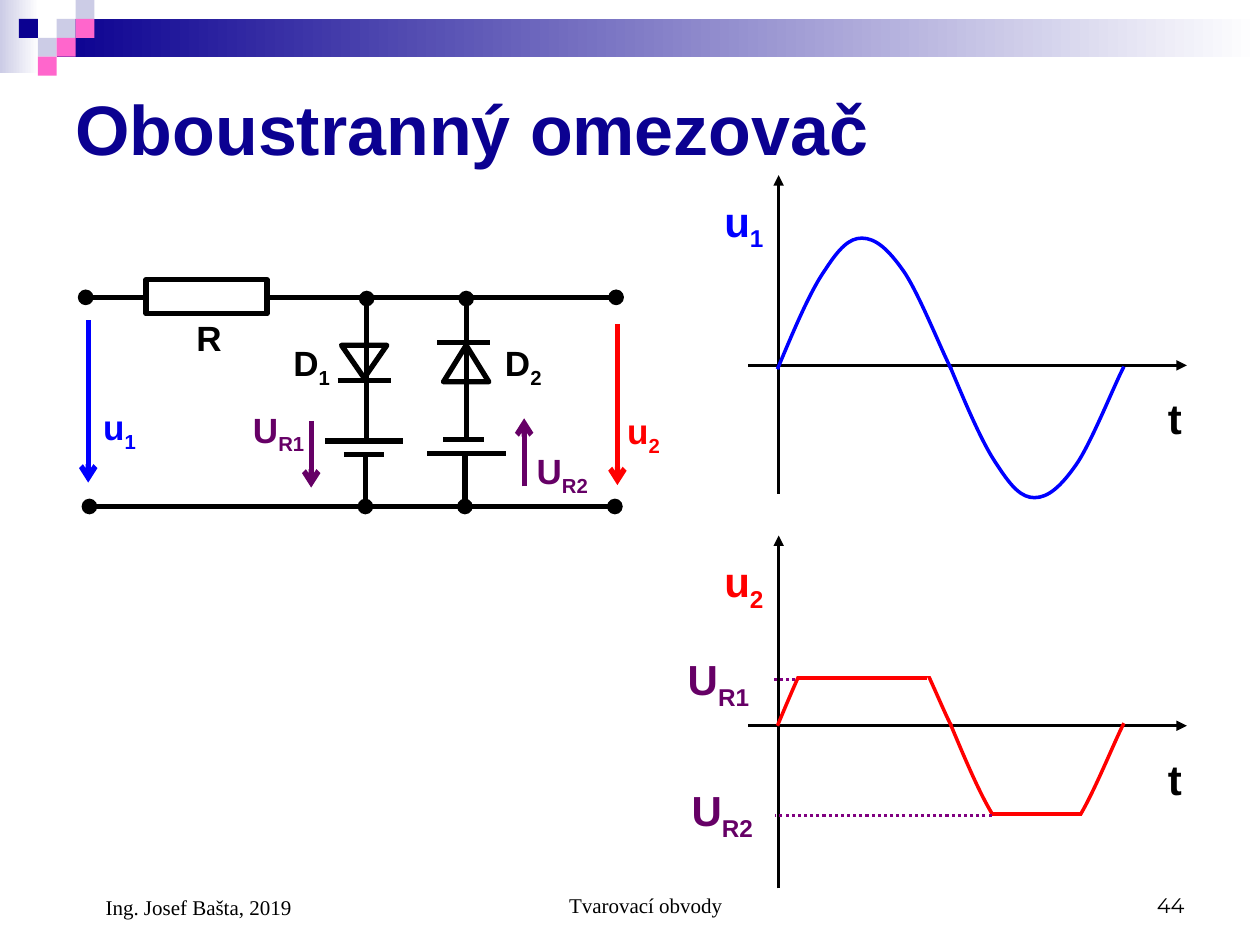
"""Build the slide on the two-sided limiter: circuit, input wave and clipped output."""
from dataclasses import dataclass

from lxml.etree import SubElement
from pptx import Presentation
from pptx.dml.color import RGBColor
from pptx.enum.dml import MSO_LINE
from pptx.enum.shapes import MSO_CONNECTOR, MSO_SHAPE
from pptx.enum.text import MSO_ANCHOR, MSO_AUTO_SIZE, PP_ALIGN
from pptx.oxml.ns import qn
from pptx.util import Inches, Pt


@dataclass(frozen=True)
class Theme:
    navy: str = "0B0191"
    lavender: str = "CCCCE6"
    pink: str = "FF66CC"
    white: str = "FFFFFF"
    black: str = "000000"
    blue: str = "0000FF"
    red: str = "FF0000"
    plum: str = "660066"
    purple: str = "800080"
    heading: str = "Arial"
    serif: str = "Times New Roman"
    number: str = "Montserrat"
    title_size: float = 40
    plot_size: float = 24
    circuit_size: float = 20
    footer_size: float = 12
    wire: float = 3
    curve: float = 2
    axis: float = 1.5
    level: float = 1.75


THEME = Theme()
TITLE = "Oboustranný omezovač"

BANDS = [((0, 0, 0.31, 0.58), THEME.lavender), ((0.45, 0.15, 9.55, 0.3), THEME.navy)]
TILE = 0.15
TILES = [
    (3, 1, THEME.lavender), (4, 0, THEME.lavender), (4, 1, THEME.pink),
    (2, 2, THEME.lavender), (1, 1, THEME.navy), (3, 2, THEME.pink), (2, 3, THEME.pink),
]

WIRES = [
    ((4.88, 4.02), (0.71, 4.02), "oval", "oval"),
    ((1.14, 2.36), (0.68, 2.36), None, "oval"),
    ((4.89, 2.36), (2.12, 2.36), "oval", None),
    ((2.91, 3.49), (2.91, 2.37), None, "oval"),
    ((2.9, 4.02), (2.9, 3.61), "oval", None),
    ((3.7, 3.49), (3.7, 2.37), None, "oval"),
    ((3.69, 4.02), (3.69, 3.61), "oval", None),
]
PLATES = [
    (2.68, 3.1, 3.02), (2.58, 3.2, 3.5), (2.73, 3.05, 3.61),
    (3.47, 3.89, 2.72), (3.39, 4.02, 3.6), (3.52, 3.84, 3.49),
]
VOLTAGE_ARROWS = [
    ((0.7, 2.54), (0.7, 3.83), THEME.blue),
    ((4.9, 2.57), (4.9, 3.85), THEME.red),
    ((2.47, 3.34), (2.47, 3.87), THEME.plum),
    ((4.16, 3.86), (4.16, 3.32), THEME.plum),
]
PARTS = [
    (MSO_SHAPE.RECTANGLE, (1.16, 2.22, 0.96, 0.27), 0),
    (MSO_SHAPE.ISOSCELES_TRIANGLE, (2.71, 2.74, 0.36, 0.26), 180),
    (MSO_SHAPE.ISOSCELES_TRIANGLE, (3.52, 2.74, 0.36, 0.29), 0),
]
CIRCUIT_LABELS = [
    ("u_1", (0.72, 3.17, 0.54, 0.48), THEME.blue),
    ("R", (1.46, 2.46, 0.46, 0.44), THEME.black),
    ("u_2", (4.88, 3.2, 0.56, 0.48), THEME.red),
    ("D_1", (2.23, 2.66, 0.53, 0.48), THEME.black),
    ("D_2", (3.91, 2.66, 0.56, 0.48), THEME.black),
    ("U_R1", (1.91, 3.19, 0.64, 0.48), THEME.plum),
    ("U_R2", (4.16, 3.52, 0.65, 0.48), THEME.plum),
]

HALF_WAVE = [
    (0, -0.01), (0.13, 0.3), (0.26, 0.61), (0.38, 0.78), (0.49, 0.95), (0.57, 1.03),
    (0.67, 1.03), (0.78, 1.03), (0.88, 0.94), (1, 0.77), (1.12, 0.6), (1.31, 0.12), (1.38, -0.01),
]
HALF_STARTS = [(6.17, 1), (7.54, -1)]
PLOTS = [
    dict(label="u_1", colour=THEME.blue, axis=2.9, bottom=3.92, middle=2.92),
    dict(label="u_2", colour=THEME.red, axis=5.76, bottom=7.05, middle=5.75),
]
CLIPPED_TOPS = [((7.88, 6.46), (8.57, 6.46)), ((6.34, 5.38), (7.36, 5.38))]
MASKS = [(6.26, 4.53, 1.26, 0.83), (7.58, 6.48, 1.26, 0.42)]
LEVELS = [((6.31, 5.39), (6.12, 5.39)), ((7.87, 6.47), (6.15, 6.47))]
LEVEL_LABELS = [("U_R1", (5.36, 5.14, 0.76, 0.56)), ("U_R2", (5.39, 6.18, 0.76, 0.56))]

FOOTERS = [
    ("Tvarovací obvody", (3.42, 6.83, 3.17, 0.5), PP_ALIGN.CENTER, 0.24, THEME.serif),
    ("44", (7.17, 6.83, 2.33, 0.5), PP_ALIGN.RIGHT, 0, THEME.number),
    ("Ing. Josef Bašta, 2019", (0.5, 6.83, 2.33, 0.52), PP_ALIGN.LEFT, 0.24, THEME.serif),
]


def inches(values):
    return [Inches(value) for value in values]


def rgb(colour):
    return RGBColor.from_string(colour)


def write_text(shape, text, *, size, colour=THEME.black, font=THEME.heading, bold=True,
               align=PP_ALIGN.LEFT, anchor=MSO_ANCHOR.TOP, indent=0):
    """Write text into a shape; an underscore starts the subscript."""
    frame = shape.text_frame
    frame.word_wrap = True
    frame.auto_size = MSO_AUTO_SIZE.NONE
    frame.vertical_anchor = anchor
    paragraph = frame.paragraphs[0]
    paragraph.alignment = align
    if indent:
        properties = paragraph._p.get_or_add_pPr()
        properties.set("marL", str(Inches(indent)))
        properties.set("indent", "0")
    for index, part in enumerate(text.split("_")):
        run = paragraph.add_run()
        run.text = part
        run.font.size, run.font.name, run.font.bold = Pt(size), font, bold
        run.font.color.rgb = rgb(colour)
        if index:
            run._r.get_or_add_rPr().set("baseline", "-25000")


def add_label(slide, text, box, **style):
    write_text(slide.shapes.add_textbox(*inches(box)), text, **style)


def add_block(slide, box, *, kind=MSO_SHAPE.RECTANGLE, fill=None, fade=False, line=None, width=0.75):
    shape = slide.shapes.add_shape(kind, *inches(box))
    shape.shadow.inherit = False
    if fade:
        shape.fill.gradient()
        shape.fill.gradient_angle = 0
        for stop, colour, position in zip(shape.fill.gradient_stops, (fill, THEME.white), (0, 1)):
            stop.color.rgb, stop.position = rgb(colour), position
    elif fill:
        shape.fill.solid()
        shape.fill.fore_color.rgb = rgb(fill)
    else:
        shape.fill.background()
    if line:
        shape.line.color.rgb, shape.line.width = rgb(line), Pt(width)
    else:
        shape.line.fill.background()
    return shape


def add_line(slide, start, end, *, colour=THEME.black, width=THEME.wire, head=None, tail=None, dash=None):
    line = slide.shapes.add_connector(MSO_CONNECTOR.STRAIGHT, *inches(start + end))
    line.line.color.rgb, line.line.width = rgb(colour), Pt(width)
    if dash:
        line.line.dash_style = dash
    for tag, kind in (("a:headEnd", head), ("a:tailEnd", tail)):
        if kind:
            SubElement(line.line._get_or_add_ln(), qn(tag), type=kind)
    SubElement(line._element.spPr, qn("a:effectLst"))


def add_curve(slide, points, colour):
    """Draw a Bézier curve: a start, then two controls and an end per segment."""
    start, *rest = [inches(point) for point in points]
    builder = slide.shapes.build_freeform(*start)
    builder.add_line_segments(rest, close=False)
    shape = builder.convert_to_shape()
    shape.shadow.inherit = False
    shape.fill.background()
    shape.line.color.rgb, shape.line.width = rgb(colour), Pt(THEME.curve)
    outline = next(shape._element.iter(qn("a:path")))
    segments = outline.findall(qn("a:lnTo"))
    for index in range(0, len(segments), 3):
        bezier = SubElement(outline, qn("a:cubicBezTo"))
        for segment in segments[index:index + 3]:
            bezier.append(segment[0])
            outline.remove(segment)


def add_plot(slide, *, label, colour, axis, bottom, middle):
    style = dict(width=THEME.axis, tail="triangle")
    add_line(slide, (5.94, axis), (9.42, axis), **style)
    add_line(slide, (6.18, bottom), (6.18, axis - 1.51), **style)
    add_label(slide, label, (5.65, axis - 1.4, 0.56, 0.56), size=THEME.plot_size, colour=colour)
    add_label(slide, "t", (9.17, axis + 0.17, 0.56, 0.5), size=THEME.plot_size)
    for left, sign in HALF_STARTS:
        add_curve(slide, [(left + x, middle - sign * y) for x, y in HALF_WAVE], colour)


def add_circuit(slide):
    for kind, box, rotation in PARTS:
        add_block(slide, box, kind=kind, line=THEME.black, width=THEME.wire).rotation = rotation
    for start, end, head, tail in WIRES:
        add_line(slide, start, end, head=head, tail=tail)
    for left, right, y in PLATES:
        add_line(slide, (left, y), (right, y))
    for start, end, colour in VOLTAGE_ARROWS:
        add_line(slide, start, end, colour=colour, tail="arrow")
    for text, box, colour in CIRCUIT_LABELS:
        add_label(slide, text, box, size=THEME.circuit_size, colour=colour)


def add_clipping(slide):
    for box in MASKS:
        add_block(slide, box, fill=THEME.white, line=THEME.white)
    for start, end in CLIPPED_TOPS:
        add_line(slide, start, end, colour=THEME.red, width=THEME.curve)
    for start, end in LEVELS:
        add_line(slide, start, end, colour=THEME.purple, width=THEME.level, dash=MSO_LINE.ROUND_DOT)
    for text, box in LEVEL_LABELS:
        add_label(slide, text, box, size=THEME.plot_size, colour=THEME.plum)


def main():
    presentation = Presentation()
    presentation.slide_width, presentation.slide_height = inches((10, 7.5))
    slide = presentation.slides.add_slide(presentation.slide_layouts[5])
    for box, colour in BANDS:
        add_block(slide, box, fill=colour, fade=True)
    for column, row, colour in TILES:
        add_block(slide, (column * TILE, row * TILE, TILE, TILE), fill=colour)
    title = slide.shapes.title
    title.left, title.top, title.width, title.height = inches((0.5, 0.5, 9, 1.03))
    write_text(title, TITLE, size=THEME.title_size, colour=THEME.navy, anchor=MSO_ANCHOR.MIDDLE)
    add_circuit(slide)
    for plot in PLOTS:
        add_plot(slide, **plot)
    add_clipping(slide)
    for text, box, align, indent, font in FOOTERS:
        add_label(slide, text, box, size=THEME.footer_size, font=font, bold=False,
                  align=align, anchor=MSO_ANCHOR.BOTTOM, indent=indent)
    presentation.save("out.pptx")


if __name__ == "__main__":
    main()
